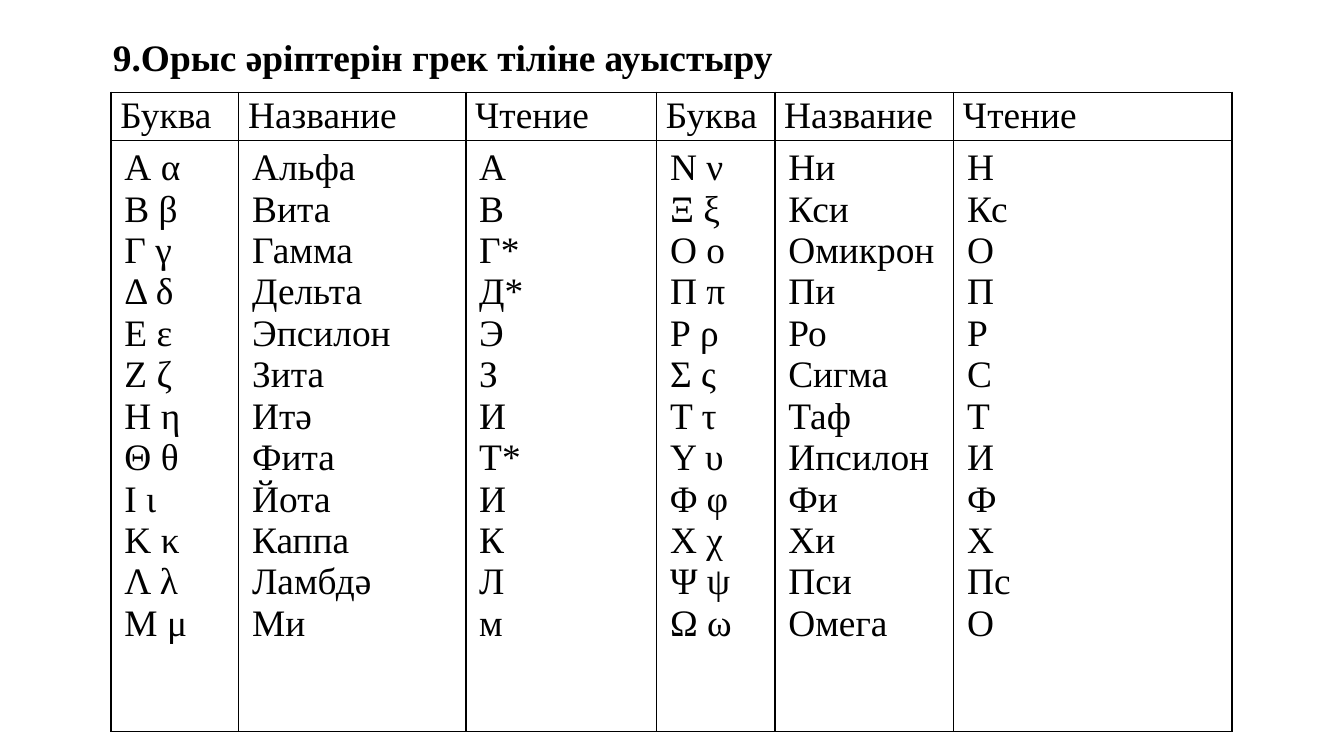
from dataclasses import dataclass

from lxml.etree import SubElement
from pptx import Presentation
from pptx.dml.color import RGBColor
from pptx.enum.text import MSO_ANCHOR, MSO_AUTO_SIZE, PP_ALIGN
from pptx.oxml.ns import qn
from pptx.table import _Cell as Cell
from pptx.text.text import _Paragraph as Paragraph
from pptx.util import Inches, Pt

BLACK = RGBColor(0x00, 0x00, 0x00)
FONT_NAME = "Times New Roman"
FONT_SIZE = Pt(20)
SLIDE_WIDTH = Inches(10)
SLIDE_HEIGHT = SLIDE_WIDTH * 9 // 16


@dataclass(frozen=True)
class AlphabetColumn:
    heading: str
    width: float  # percent of the slide width
    entries: str


COLUMNS = (
    AlphabetColumn("Буква", 9.5, "А α|В β|Г γ|Δ δ|Е ε|Ζ ζ|Η η|Θ θ|Ι ι|Κ κ|Λ λ|Μ μ"),
    AlphabetColumn(
        "Название", 16.9,
        "Альфа|Вита|Гамма|Дельта|Эпсилон|Зита|Итә|Фита|Йота|Каппа|Ламбдә|Ми",
    ),
    AlphabetColumn("Чтение", 14.2, "А|В|Г*|Д*|Э|З|И|Т*|И|К|Л|м"),
    AlphabetColumn("Буква", 8.8, "Ν ν|Ξ ξ|Ο ο|Π π|Ρ ρ|Σ ς|Τ τ|Υ υ|Φ φ|Χ χ|Ψ ψ|Ω ω"),
    AlphabetColumn(
        "Название", 13.3,
        "Ни|Кси|Омикрон|Пи|Ро|Сигма|Таф|Ипсилон|Фи|Хи|Пси|Омега",
    ),
    AlphabetColumn("Чтение", 20.7, "Н|Кс|О|П|Р|С|Т|И|Ф|Х|Пс|О"),
)
ROW_HEIGHTS = (6.3, 78.2)  # percent of the slide height


def across(percent: float) -> int:
    return int(SLIDE_WIDTH * percent / 100)


def down(percent: float) -> int:
    return int(SLIDE_HEIGHT * percent / 100)


def add_run(paragraph: Paragraph, text: str, bold: bool = False) -> None:
    run = paragraph.add_run()
    run.text = text
    run.font.name = FONT_NAME
    run.font.size = FONT_SIZE
    run.font.bold = bold
    run.font.color.rgb = BLACK


def outline_cell(cell: Cell) -> None:
    cell.fill.background()
    properties = cell._tc.get_or_add_tcPr()
    for position, side in enumerate(("lnL", "lnR", "lnT", "lnB")):
        line = SubElement(properties, qn(f"a:{side}"), w=str(Pt(1)))
        fill = SubElement(line, qn("a:solidFill"))
        SubElement(fill, qn("a:srgbClr"), val=str(BLACK))
        properties.insert(position, line)  # borders come before the fill


def fill_cell(cell: Cell, lines: list[str]) -> None:
    frame = cell.text_frame
    for index, line in enumerate(lines):
        paragraph = frame.add_paragraph() if index else frame.paragraphs[0]
        add_run(paragraph, line)
    outline_cell(cell)


def fill_heading(cell: Cell, heading: str) -> None:
    cell.margin_left = cell.margin_right = Inches(0.07)
    cell.margin_top = cell.margin_bottom = 0
    fill_cell(cell, [heading])
    cell.text_frame.paragraphs[0].line_spacing = 1.07


presentation = Presentation()
presentation.slide_width, presentation.slide_height = SLIDE_WIDTH, SLIDE_HEIGHT
slide = presentation.slides.add_slide(presentation.slide_layouts[5])

# Title
title = slide.shapes.title
title.left, title.top = across(7.4), down(3.6)
title.width, title.height = across(51.5), down(7.8)
title_frame = title.text_frame
title_frame.word_wrap = False
title_frame.auto_size = MSO_AUTO_SIZE.SHAPE_TO_FIT_TEXT
title_frame.vertical_anchor = MSO_ANCHOR.TOP
title_paragraph = title_frame.paragraphs[0]
title_paragraph.alignment = PP_ALIGN.LEFT
add_run(title_paragraph, "9.Орыс әріптерін грек тіліне ауыстыру", bold=True)

# Alphabet table
table = slide.shapes.add_table(
    len(ROW_HEIGHTS), len(COLUMNS), across(8.26), down(12.24),
    across(sum(column.width for column in COLUMNS)), down(sum(ROW_HEIGHTS)),
).table
table.first_row = table.horz_banding = False
for row, height in zip(table.rows, ROW_HEIGHTS):
    row.height = down(height)
for index, column in enumerate(COLUMNS):
    table.columns[index].width = across(column.width)
    fill_heading(table.cell(0, index), column.heading)
    fill_cell(table.cell(1, index), column.entries.split("|"))

presentation.save("out.pptx")
